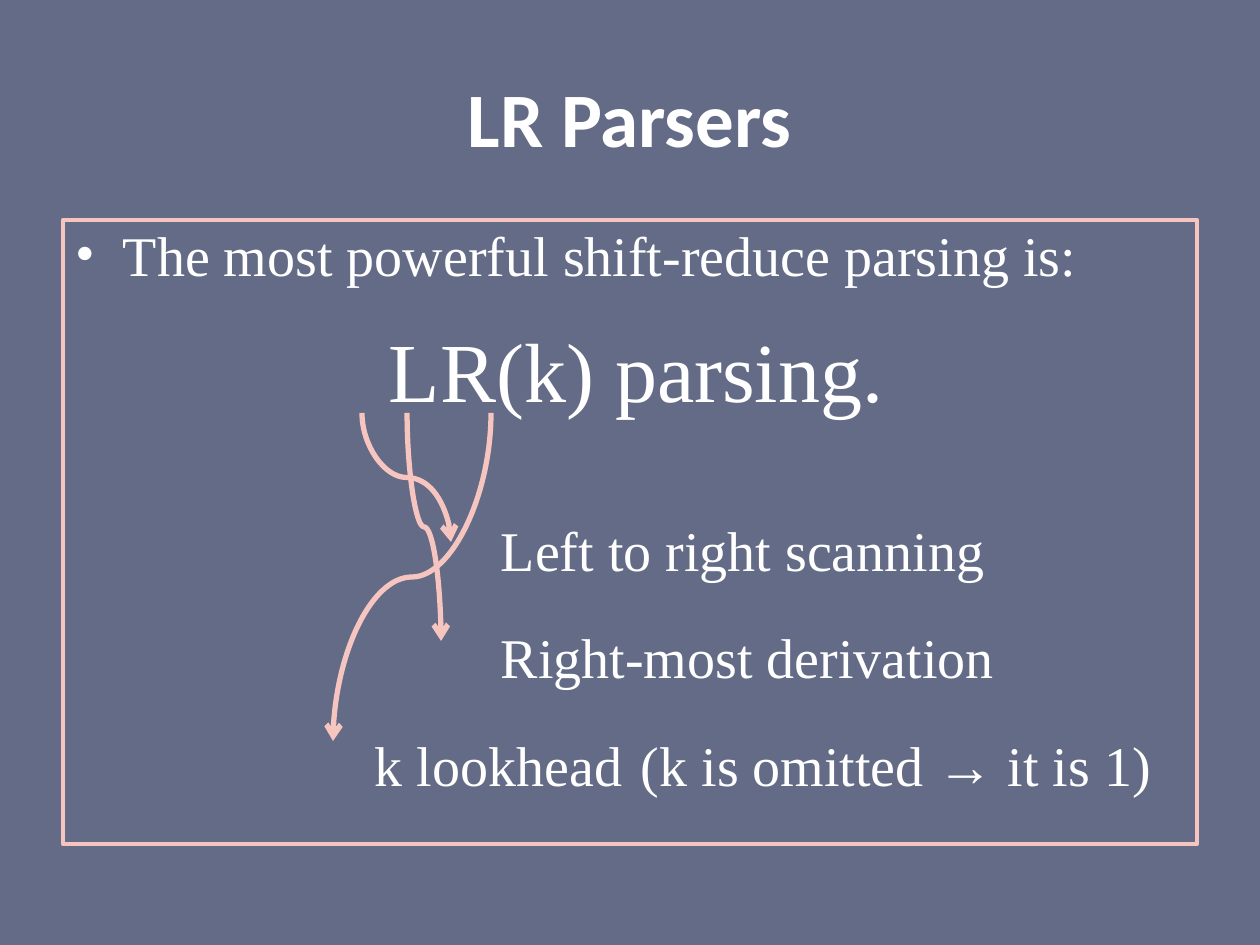
from dataclasses import dataclass

from lxml import etree
from pptx import Presentation
from pptx import util as u
from pptx.dml.color import RGBColor
from pptx.enum import shapes, text
from pptx.oxml.ns import qn

PX_PER_INCH = 126


@dataclass(frozen=True)
class Theme:
    background: RGBColor = RGBColor(0x64, 0x6B, 0x86)
    ink: RGBColor = RGBColor(0xFF, 0xFF, 0xFF)
    accent: RGBColor = RGBColor(0xF6, 0xC5, 0xBF)
    title_font: str = "Calibri"
    body_font: str = "Times New Roman"
    title_size: int = 44
    term_size: int = 48
    body_size: int = 32
    frame_width: float = 2.5
    arrow_width: float = 3


THEME = Theme()


def px(length):
    return u.Emu(round(length * 914400 / PX_PER_INCH))


def write(paragraph, words, size=THEME.body_size, font=THEME.body_font,
          bold=False, align=text.PP_ALIGN.LEFT, left=0, before=0, bullet=None):
    """Fill a paragraph; left and before are in px."""
    run = paragraph.add_run()
    run.text = words
    run.font.size = u.Pt(size)
    run.font.name = font
    run.font.bold = bold
    run.font.color.rgb = THEME.ink
    paragraph.alignment = align
    paragraph.space_before = px(before)
    properties = paragraph._p.get_or_add_pPr()
    properties.set("marL", str(px(left)))
    properties.set("indent", str(-px(left) if bullet else 0))
    if bullet:
        etree.SubElement(properties, qn("a:buFont")).set("typeface", font)
        etree.SubElement(properties, qn("a:buChar")).set("char", bullet)


def add_title(slide, words):
    title = slide.shapes.title
    title.left, title.top, title.width, title.height = map(px, (63, 38, 1134, 158))
    frame = title.text_frame
    frame.vertical_anchor = text.MSO_ANCHOR.MIDDLE
    write(frame.paragraphs[0], words, size=THEME.title_size,
          font=THEME.title_font, bold=True, align=text.PP_ALIGN.CENTER)


def add_framed_text(slide, lines):
    panel = slide.shapes.add_shape(shapes.MSO_SHAPE.RECTANGLE,
                                   *map(px, (63, 220, 1134, 624)))
    panel.shadow.inherit = False
    panel.fill.background()
    panel.line.color.rgb = THEME.accent
    panel.line.width = u.Pt(THEME.frame_width)
    frame = panel.text_frame
    frame.word_wrap = True
    frame.vertical_anchor = text.MSO_ANCHOR.TOP
    frame.margin_left = frame.margin_right = px(13)
    frame.margin_top = 0
    for index, (words, style) in enumerate(lines):
        paragraph = frame.add_paragraph() if index else frame.paragraphs[0]
        write(paragraph, words, **style)


def add_curved_arrow(slide, start, end):
    """Curve that leaves and arrives vertically: a quarter-turned connector."""
    (x1, y1), (x2, y2) = start, end
    mid_x, mid_y = (x1 + x2) / 2, (y1 + y2) / 2
    half_w, half_h = (y2 - y1) / 2, abs(x2 - x1) / 2
    rightward = x2 > x1
    side = -half_w if rightward else half_w
    arrow = slide.shapes.add_connector(
        shapes.MSO_CONNECTOR.CURVE,
        px(mid_x - side), px(mid_y - half_h), px(mid_x + side), px(mid_y + half_h))
    arrow.line.color.rgb = THEME.accent
    arrow.line.width = u.Pt(THEME.arrow_width)
    properties = arrow._element.spPr
    properties.find(qn("a:xfrm")).set("rot", str((270 if rightward else 90) * 60000))
    etree.SubElement(properties.find(qn("a:ln")), qn("a:tailEnd")).set("type", "arrow")
    etree.SubElement(properties, qn("a:effectLst"))


def main():
    deck = Presentation()
    deck.slide_width, deck.slide_height = px(1260), px(945)
    slide = deck.slides.add_slide(deck.slide_layouts[5])
    slide.background.fill.solid()
    slide.background.fill.fore_color.rgb = THEME.background

    add_title(slide, "LR Parsers")

    # Statement, the term, and what each of its letters means
    add_framed_text(slide, [
        ("The most powerful shift-reduce parsing is:", dict(left=47, bullet="•")),
        ("LR(k) parsing.", dict(left=313, before=31, size=THEME.term_size)),
        ("Left to right scanning", dict(left=425, before=96)),
        ("Right-most derivation", dict(left=425, before=40)),
        ("k lookhead\t (k is omitted → it is 1)", dict(left=299, before=41)),
    ])

    # Arrows from L, R and k to their meanings
    letters_bottom = 413
    for start_x, end in ((362, (451, 542)), (407, (441, 641)), (491, (333, 741))):
        add_curved_arrow(slide, (start_x, letters_bottom), end)

    deck.save("out.pptx")


if __name__ == "__main__":
    main()
